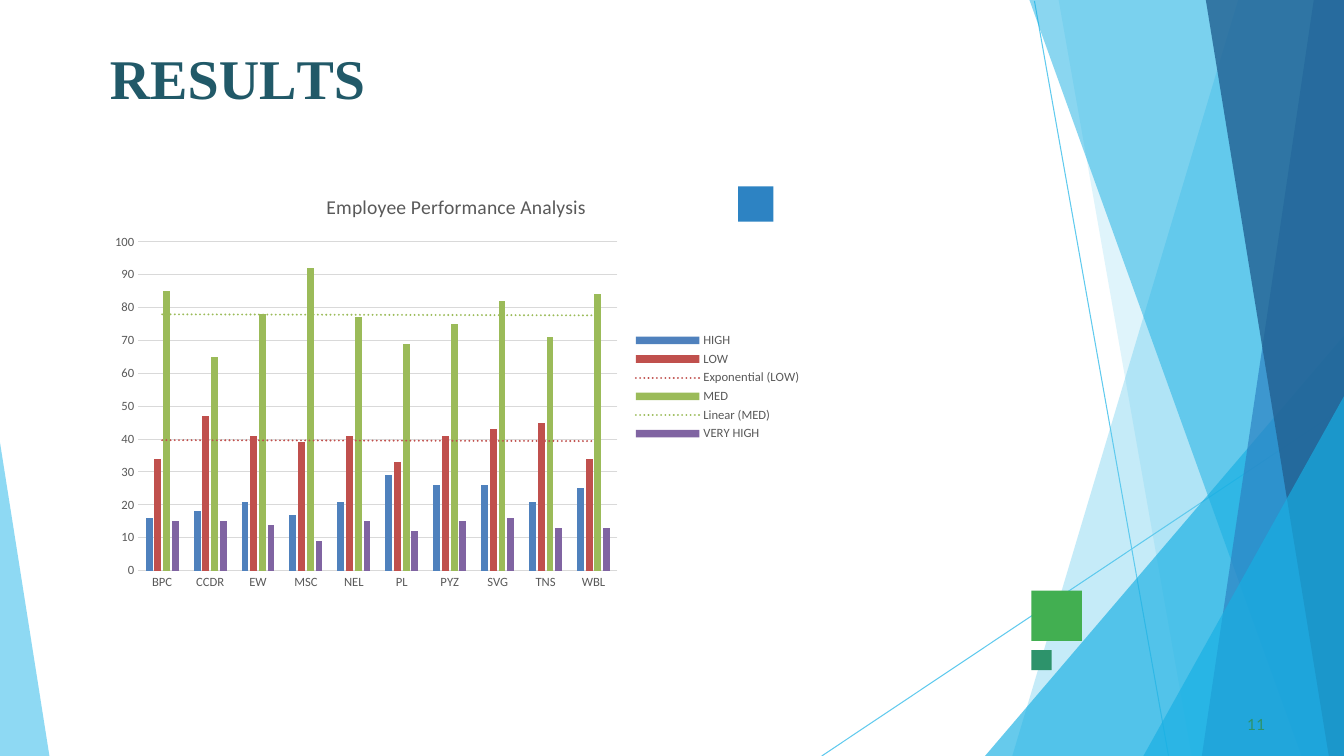
from dataclasses import dataclass
from typing import Optional

from lxml import etree
from pptx import Presentation, slide, util as u
from pptx.chart import axis as chart_axis, data as chart_data, series as chart_series
from pptx.dml import color, fill as dml_fill
from pptx.enum import chart as chart_enum, dml, shapes, text
from pptx.oxml import ns
from pptx.text import text as font_text


@dataclass(frozen=True)
class Theme:
    sky: str = "5FCAEE"
    cyan: str = "17AFE3"
    blue: str = "2D83C3"
    navy: str = "226192"
    green: str = "42AF51"
    teal: str = "2D936B"
    title: str = "215968"
    chart_text: str = "595959"
    chart_line: str = "D9D9D9"
    title_font: str = "Times New Roman"
    number_font: str = "Lato"
    chart_font: str = "Calibri"
    title_size: int = 40
    number_size: int = 11
    chart_title_size: int = 14
    chart_size: int = 9
    thin: float = 0.75
    trend: float = 1.5


THEME = Theme()
WIDTH, HEIGHT = 13.33, 7.5


@dataclass(frozen=True)
class Facet:
    points: tuple[tuple[float, float], ...]
    fill: str
    opacity: int


@dataclass(frozen=True)
class Square:
    left: float
    top: float
    side: float
    fill: str


@dataclass(frozen=True)
class Rating:
    name: str
    counts: tuple[int, ...]
    fill: str
    trend: Optional[str] = None


@dataclass(frozen=True)
class Span:
    words: str
    spacing: float = 0


@dataclass(frozen=True)
class Label:
    left: float
    top: float
    width: float
    height: float
    indent: float
    space_before: float
    spans: tuple[Span, ...]
    font: str
    size: int
    color: str
    bold: bool = False


def right_facet(top_left: float, bottom_left: float, fill: str, opacity: int,
                top: float = 0) -> Facet:
    """Describe a facet that fills the slide out to its right edge."""
    return Facet(((WIDTH, top), (top_left, top), (bottom_left, HEIGHT), (WIDTH, HEIGHT)),
                 fill, opacity)


RAYS = (((10.26, 0.01), (11.59, HEIGHT)), ((WIDTH, 4.04), (8.15, HEIGHT)))
FACETS = (
    right_facet(12.28, 10.04, THEME.sky, 36),
    right_facet(10.5, 11.82, THEME.sky, 20),
    right_facet(WIDTH, 9.77, THEME.cyan, 66, top=3.33),
    right_facet(10.21, 12.91, THEME.cyan, 50),
    right_facet(13.03, 11.92, THEME.blue, 70),
    right_facet(11.96, 13.18, THEME.navy, 80),
    right_facet(WIDTH, 11.34, THEME.cyan, 66, top=3.93),
    Facet(((0, 4.39), (0, HEIGHT), (0.49, HEIGHT)), THEME.sky, 70),
)
SQUARES = (
    Square(10.23, 5.86, 0.5, THEME.green),
    Square(7.32, 1.85, 0.35, THEME.blue),
    Square(10.23, 6.45, 0.2, THEME.teal),
)
LABELS = (
    Label(1.08, 0.42, 3.34, 0.69, 0.01, 1.1,
          (Span("R"), Span("E", -0.4), Span("S", 0.1), Span("U", -0.3), Span("L", -4), Span("TS")),
          THEME.title_font, THEME.title_size, THEME.title, bold=True),
    Label(12.33, 7.08, 0.25, 0.21, 0.04, 0.6, (Span("11", 0.1),),
          THEME.number_font, THEME.number_size, THEME.teal),
)
UNITS = ("BPC", "CCDR", "EW", "MSC", "NEL", "PL", "PYZ", "SVG", "TNS", "WBL")
RATINGS = (
    Rating("HIGH", (16, 18, 21, 17, 21, 29, 26, 26, 21, 25), "4F81BD"),
    Rating("LOW", (34, 47, 41, 39, 41, 33, 41, 43, 45, 34), "C0504D", "exp"),
    Rating("MED", (85, 65, 78, 92, 77, 69, 75, 82, 71, 84), "9BBB59", "linear"),
    Rating("VERY HIGH", (15, 15, 14, 9, 15, 12, 15, 16, 13, 13), "8064A2"),
)


def rgb(code: str) -> color.RGBColor:
    return color.RGBColor.from_string(code)


def paint(fill: dml_fill.FillFormat, code: str) -> None:
    fill.solid()
    fill.fore_color.rgb = rgb(code)


def style_font(font: font_text.Font, name: str, size: int, code: str, bold: bool = False) -> None:
    font.name, font.size, font.bold = name, u.Pt(size), bold
    font.color.rgb = rgb(code)


def add_ray(page: slide.Slide, start: tuple[float, float], end: tuple[float, float]) -> None:
    ray = page.shapes.add_connector(shapes.MSO_CONNECTOR.STRAIGHT,
                                    *(u.Inches(value) for value in (*start, *end)))
    ray.line.color.rgb = rgb(THEME.sky)
    ray.line.width = u.Pt(THEME.thin)
    etree.SubElement(ray._element.spPr, ns.qn("a:effectLst"))


def add_facet(page: slide.Slide, facet: Facet) -> None:
    points = [(u.Inches(x), u.Inches(y)) for x, y in facet.points]
    builder = page.shapes.build_freeform(*points[0])
    builder.add_line_segments(points[1:], close=True)
    shape = builder.convert_to_shape()
    shape.shadow.inherit = False
    shape.line.fill.background()
    paint(shape.fill, facet.fill)
    shade = shape._element.spPr.find(".//" + ns.qn("a:srgbClr"))
    etree.SubElement(shade, ns.qn("a:alpha"), val=str(facet.opacity * 1000))


def add_square(page: slide.Slide, square: Square) -> None:
    side = u.Inches(square.side)
    shape = page.shapes.add_shape(shapes.MSO_SHAPE.RECTANGLE, u.Inches(square.left),
                                  u.Inches(square.top), side, side)
    shape.shadow.inherit = False
    shape.line.fill.background()
    paint(shape.fill, square.fill)


def add_label(page: slide.Slide, label: Label) -> None:
    box = page.shapes.add_textbox(*(u.Inches(value) for value in (
        label.left, label.top, label.width, label.height)))
    frame = box.text_frame
    frame.word_wrap = True
    frame.vertical_anchor = text.MSO_ANCHOR.TOP
    frame.margin_left, frame.margin_top = u.Inches(label.indent), u.Inches(0.01)
    frame.margin_right = frame.margin_bottom = 0
    para = frame.paragraphs[0]
    para.space_before = u.Pt(label.space_before)
    for span in label.spans:
        run = para.add_run()
        run.text = span.words
        style_font(run.font, label.font, label.size, label.color, label.bold)
        run._r.get_or_add_rPr().set("spc", str(round(span.spacing * 100)))


def add_trend(series: chart_series.BarSeries, rating: Rating) -> None:
    """Add a dotted trend line, which must come before the categories."""
    trend = etree.Element(ns.qn("c:trendline"))
    outline = etree.SubElement(etree.SubElement(trend, ns.qn("c:spPr")), ns.qn("a:ln"),
                               w=str(u.Pt(THEME.trend)), cap="rnd")
    fill = etree.SubElement(outline, ns.qn("a:solidFill"))
    etree.SubElement(fill, ns.qn("a:srgbClr"), val=rating.fill)
    etree.SubElement(outline, ns.qn("a:prstDash"), val="sysDot")
    for tag, value in (("trendlineType", rating.trend), ("dispRSqr", "0"), ("dispEq", "0")):
        etree.SubElement(trend, ns.qn(f"c:{tag}"), val=value)
    series._element.find(ns.qn("c:cat")).addprevious(trend)


def style_axis(axis: chart_axis.CategoryAxis | chart_axis.ValueAxis) -> None:
    axis.major_tick_mark = axis.minor_tick_mark = chart_enum.XL_TICK_MARK.NONE
    style_font(axis.tick_labels.font, THEME.chart_font, THEME.chart_size, THEME.chart_text)


def add_ratings_chart(page: slide.Slide) -> None:
    table = chart_data.CategoryChartData()
    table.categories = UNITS
    for rating in RATINGS:
        table.add_series(rating.name, rating.counts)
    chart = page.shapes.add_chart(chart_enum.XL_CHART_TYPE.COLUMN_CLUSTERED, u.Inches(1),
                                  u.Inches(1.75), u.Inches(7.05), u.Inches(4.18), table).chart
    chart.has_title = True
    chart.chart_title.include_in_layout = False
    heading = chart.chart_title.text_frame
    heading.text = "Employee Performance Analysis"
    style_font(heading.paragraphs[0].runs[0].font, THEME.chart_font,
               THEME.chart_title_size, THEME.chart_text)
    chart.has_legend = True
    chart.legend.position = chart_enum.XL_LEGEND_POSITION.RIGHT
    chart.legend.include_in_layout = False
    style_font(chart.legend.font, THEME.chart_font, THEME.chart_size, THEME.chart_text)

    plot = chart.plots[0]
    plot.gap_width, plot.overlap, plot.vary_by_categories = 219, -27, False
    for series, rating in zip(plot.series, RATINGS):
        series.invert_if_negative = False
        paint(series.format.fill, rating.fill)
        if rating.trend:
            add_trend(series, rating)

    style_axis(chart.category_axis)
    style_axis(chart.value_axis)
    chart.value_axis.format.line.fill.background()
    for line in (chart.category_axis.format.line, chart.value_axis.major_gridlines.format.line):
        line.color.rgb = rgb(THEME.chart_line)
        line.width = u.Pt(THEME.thin)
        line.dash_style = dml.MSO_LINE.SOLID


def main() -> None:
    deck = Presentation()
    deck.slide_width, deck.slide_height = u.Inches(WIDTH), u.Inches(HEIGHT)
    page = deck.slides.add_slide(deck.slide_layouts[6])
    for start, end in RAYS:
        add_ray(page, start, end)
    for facet in FACETS:
        add_facet(page, facet)
    for square in SQUARES:
        add_square(page, square)
    for label in LABELS:
        add_label(page, label)
    add_ratings_chart(page)
    deck.save("out.pptx")


if __name__ == "__main__":
    main()
